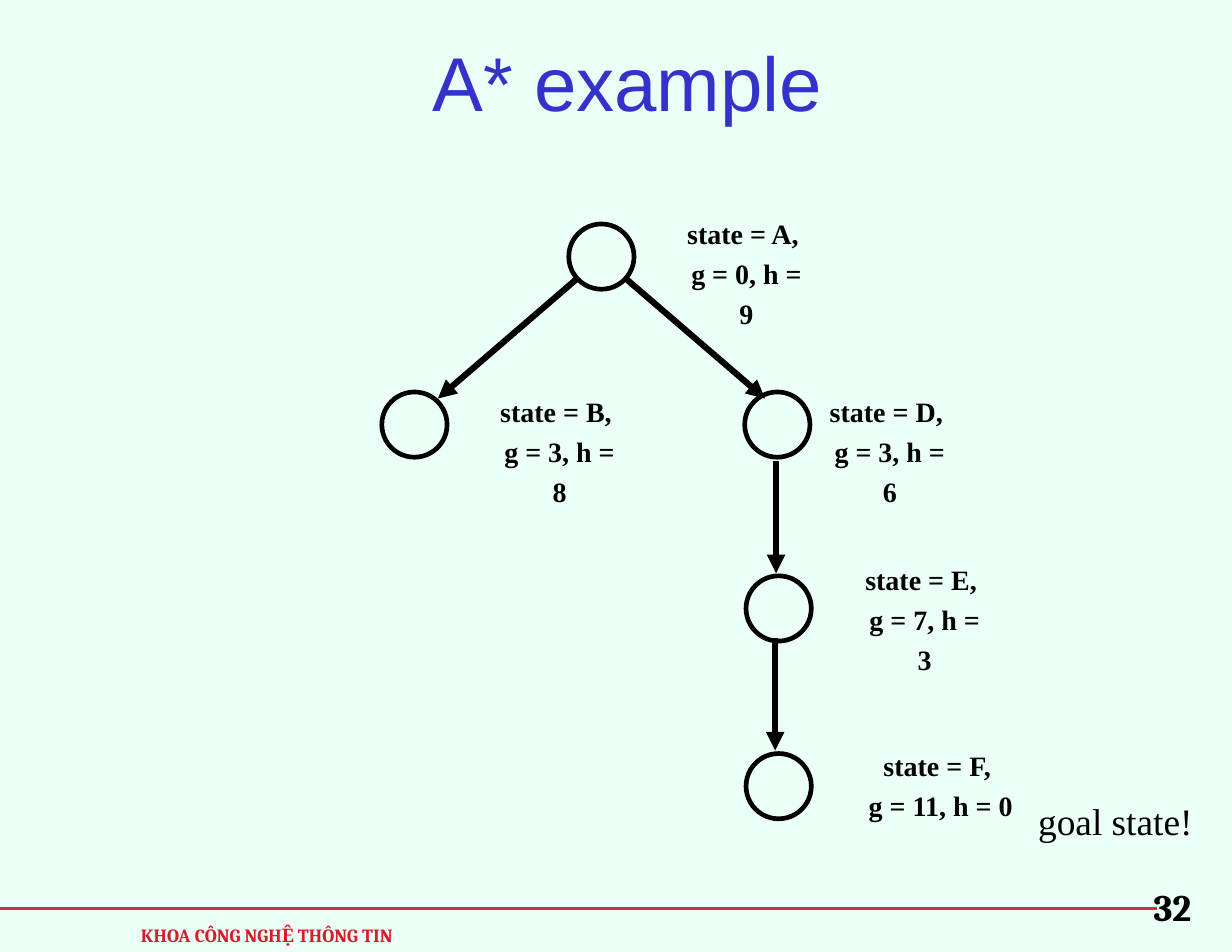
from pptx import Presentation
from pptx.dml.color import RGBColor
from pptx.enum.shapes import MSO_CONNECTOR, MSO_SHAPE
from pptx.enum.text import MSO_ANCHOR, MSO_AUTO_SIZE, PP_ALIGN
from pptx.oxml.ns import qn
from pptx.util import Cm, Pt
from lxml import etree

CENTER = PP_ALIGN.CENTER
MIDDLE, TOP = MSO_ANCHOR.MIDDLE, MSO_ANCHOR.TOP
NO_FIT, GROW = MSO_AUTO_SIZE.NONE, MSO_AUTO_SIZE.SHAPE_TO_FIT_TEXT
STRAIGHT, OVAL = MSO_CONNECTOR.STRAIGHT, MSO_SHAPE.OVAL

COLORS = {k: RGBColor.from_string(v) for k, v in {
    "back": "EBFFF7", "title": "3333CC", "ink": "000000",
    "rule": "D32F2F", "footer": "D51C29"}.items()}

FORMATS = {
    "title": {"name": "Arial", "size": Pt(49), "bold": False},
    "label": {"name": "Times New Roman", "size": Pt(18), "bold": True},
    "goal": {"name": "Times New Roman", "size": Pt(24), "bold": False},
    "footer": {"name": "Cambria", "size": Pt(12), "bold": True},
    "number": {"name": "Cambria", "size": Pt(24), "bold": True},
}

prs = Presentation()
prs.slide_width, prs.slide_height = Cm(27.94), Cm(21.59)
s = prs.slides.add_slide(prs.slide_layouts[5])
s.background.fill.solid()
s.background.fill.fore_color.rgb = COLORS["back"]


def write(sp, lines, style, color, spacing=1.18, wrap=True, anchor=TOP, fit=GROW, pad=(0.25, 0.13)):
    tf = sp.text_frame
    tf.word_wrap, tf.vertical_anchor, tf.auto_size = wrap, anchor, fit
    tf.margin_left = tf.margin_right = Cm(pad[0])
    tf.margin_top = tf.margin_bottom = Cm(pad[1])
    for i, line in enumerate(lines):
        p = tf.add_paragraph() if i else tf.paragraphs[0]
        p.alignment, p.line_spacing = CENTER, spacing
        r = p.add_run()
        r.text = line
        for key, value in FORMATS[style].items():
            setattr(r.font, key, value)
        r.font.color.rgb = COLORS[color]


def connect(x1, y1, x2, y2, color, width, arrow=True):
    sp = s.shapes.add_connector(STRAIGHT, Cm(x1), Cm(y1), Cm(x2), Cm(y2))
    sp.line.color.rgb, sp.line.width = COLORS[color], Pt(width)
    if arrow:
        etree.SubElement(sp.line._get_or_add_ln(), qn("a:tailEnd"), type="triangle")
    etree.SubElement(sp._element.spPr, qn("a:effectLst"))


# Footer rule, department and page number
connect(0, 20.6, 26.24, 20.6, "rule", 2.25, arrow=False)
sp = s.shapes.add_textbox(Cm(2.84), Cm(20.73), Cm(6.43), Cm(0.86))
write(sp, ["KHOA CÔNG NGHỆ THÔNG TIN"], "footer", "footer")
sp = s.shapes.add_textbox(Cm(25.6), Cm(19.74), Cm(1.98), Cm(1.45))
write(sp, ["32"], "number", "ink")

# Title
sp = s.shapes.title
sp.left, sp.top, sp.width, sp.height = Cm(0.51), Cm(0), Cm(27.43), Cm(3.18)
write(sp, ["A* example"], "title", "title", 1.24, anchor=MIDDLE, fit=NO_FIT, pad=(0.28, 0.15))

# Search nodes: state, g, h, circle left and top, label left, top and width
nodes = [
    ("A", 0, 9, 12.9, 5.08, 15.19, 4.65, 3.48),
    ("B", 3, 8, 8.66, 8.89, 10.95, 8.69, 3.48),
    ("D", 3, 6, 16.89, 8.89, 18.44, 8.69, 3.48),
    ("E", 7, 3, 16.92, 13.06, 19.23, 12.5, 3.48),
    ("F", 11, 0, 16.92, 17.09, 19.43, 16.71, 3.81),
]
for state, g, h, x, y, label_x, label_y, label_w in nodes:
    sp = s.shapes.add_shape(OVAL, Cm(x), Cm(y), Cm(1.48), Cm(1.48))
    sp.shadow.inherit = False
    sp.fill.background()
    sp.line.color.rgb, sp.line.width = COLORS["ink"], Pt(3)
    sp = s.shapes.add_textbox(Cm(label_x), Cm(label_y), Cm(label_w), Cm(2.06))
    write(sp, [f"state = {state}, ", f"g = {g}, h = {h}"], "label", "ink", wrap=False)

# Arrows from parent to child
for ends in [(14.17, 6.3, 17.35, 9.04), (13.11, 6.3, 9.93, 9.04),
             (17.6, 10.46, 17.6, 13), (17.58, 14.48, 17.58, 17.02)]:
    connect(*ends, "ink", 4)

# Goal remark
sp = s.shapes.add_textbox(Cm(23.29), Cm(17.78), Cm(4.01), Cm(1.45))
write(sp, ["goal state!"], "goal", "ink", wrap=False)

prs.save("out.pptx")
